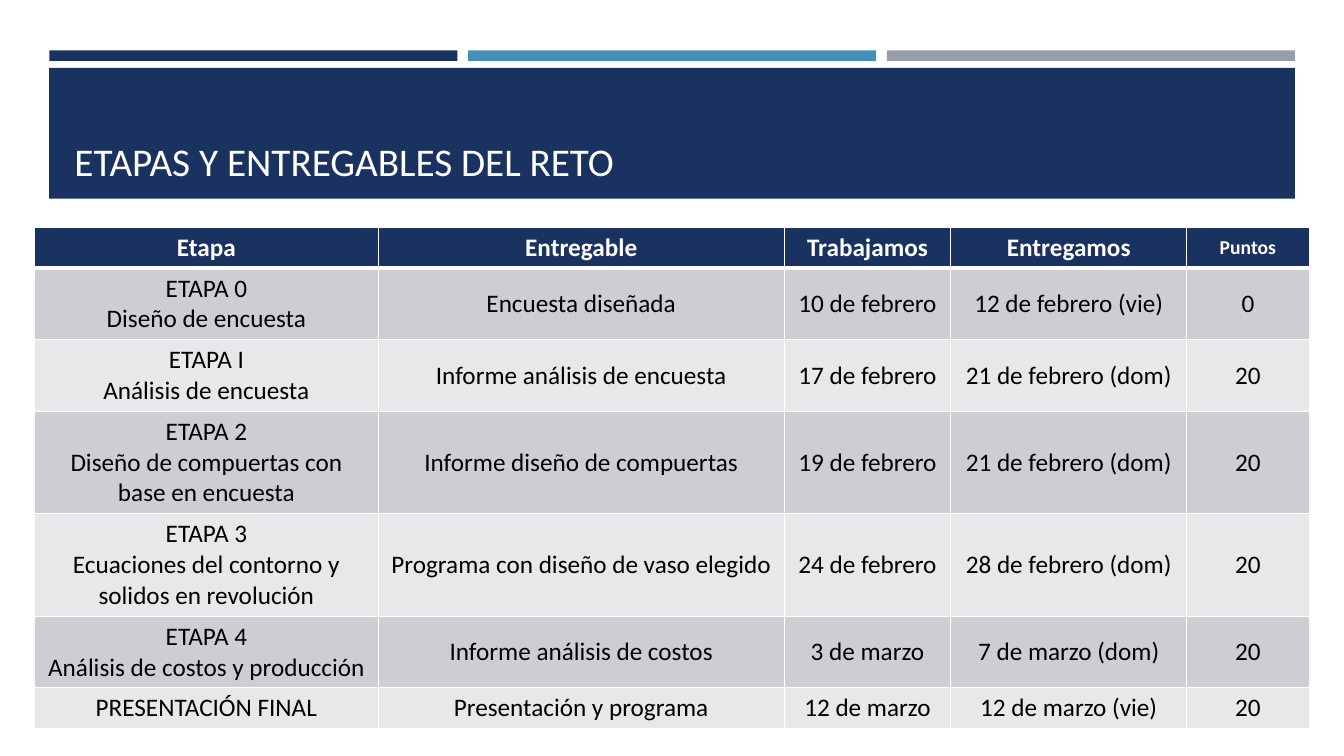
from pptx import Presentation
from pptx.dml.color import RGBColor
from pptx.enum.shapes import MSO_SHAPE
from pptx.enum.text import MSO_ANCHOR, MSO_AUTO_SIZE, PP_ALIGN
from pptx.oxml import parse_xml
from pptx.oxml.ns import nsdecls
from pptx.util import Pt

RECT = MSO_SHAPE.RECTANGLE
MIDDLE, BOTTOM = MSO_ANCHOR.MIDDLE, MSO_ANCHOR.BOTTOM
LEFT, CENTER = PP_ALIGN.LEFT, PP_ALIGN.CENTER

# Content: each stage has its line count, then its cells
TITLE = "ETAPAS Y ENTREGABLES DEL RETO"
HEADS = ["Etapa", "Entregable", "Trabajamos", "Entregamos", "Puntos"]
STAGES = [
    (2, ["ETAPA 0\nDiseño de encuesta", "Encuesta diseñada",
         "10 de febrero", "12 de febrero (vie)", "0"]),
    (2, ["ETAPA I\nAnálisis de encuesta", "Informe análisis de encuesta",
         "17 de febrero", "21 de febrero (dom)", "20"]),
    (3, ["ETAPA 2\nDiseño de compuertas con base en encuesta",
         "Informe diseño de compuertas",
         "19 de febrero", "21 de febrero (dom)", "20"]),
    (3, ["ETAPA 3\nEcuaciones del contorno y solidos en revolución",
         "Programa con diseño de vaso elegido",
         "24 de febrero", "28 de febrero (dom)", "20"]),
    (2, ["ETAPA 4\nAnálisis de costos y producción",
         "Informe análisis de costos",
         "3 de marzo", "7 de marzo (dom)", "20"]),
    (1, ["PRESENTACIÓN FINAL", "Presentación y programa",
         "12 de marzo", "12 de marzo (vie)", "20"]),
]
WIDTHS = [245.5, 290, 119, 168.5, 87.5]

THEME = {
    "font": "Calibri", "title": 28, "body": 18, "small": 14,
    "navy": "1A3260", "blue": "4590B8", "gray": "969FA7",
    "white": "FFFFFF", "black": "000000", "bands": ["CDCED2", "E8E8EA"],
}


def paint(fill, color):
    fill.solid()
    fill.fore_color.rgb = RGBColor.from_string(color)


def style(frame, size, color, bold, align):
    look = {"name": THEME["font"], "size": Pt(size), "bold": bold}
    for para in frame.paragraphs:
        para.alignment = align
        for run in para.runs:
            for key, value in look.items():
                setattr(run.font, key, value)
            run.font.color.rgb = RGBColor.from_string(color)


def bar(left, top, width, height, color):
    shape = slide.shapes.add_shape(RECT, Pt(left), Pt(top), Pt(width), Pt(height))
    shape.shadow.inherit = False
    paint(shape.fill, color)
    shape.line.fill.background()


def edge(cell, side, width):
    line = parse_xml(
        f'<a:{side} {nsdecls("a")} w="{Pt(width)}"><a:solidFill>'
        f'<a:srgbClr val="{THEME["white"]}"/></a:solidFill></a:{side}>')
    cell._tc.get_or_add_tcPr().append(line)


def fill_row(index, texts, color, ink, bold):
    for col, text in enumerate(texts):
        cell = table.cell(index, col)
        cell.text = text
        cell.vertical_anchor = MIDDLE
        small = index == 0 and col == len(texts) - 1
        style(cell.text_frame, THEME["small" if small else "body"], ink, bold, CENTER)
        for side in ("lnL", "lnR", "lnT", "lnB"):
            thick = (index, side) in ((0, "lnB"), (1, "lnT"))
            edge(cell, side, 3 if thick else 1)
        paint(cell.fill, color)


deck = Presentation()
deck.slide_width, deck.slide_height = Pt(960), Pt(540)
slide = deck.slides.add_slide(deck.slide_layouts[5])

# Three thin bars above the title band
LONG, GAP = 291.6, 7.5
for spot, name in enumerate(["navy", "blue", "gray"]):
    bar(35.2 + spot * (LONG + GAP), 36, LONG, 7.5, THEME[name])
bar(35, 48.5, 890, 93.5, THEME["navy"])

# Title, in front of its band
title = slide.shapes.title
box = {"left": 46, "top": 55.5, "width": 868.5, "height": 80}
for key, value in box.items():
    setattr(title, key, Pt(value))
frame = title.text_frame
frame.text = TITLE
frame.auto_size = MSO_AUTO_SIZE.NONE
frame.vertical_anchor = BOTTOM
style(frame, THEME["title"], THEME["white"], False, LEFT)
slide.shapes._spTree.append(title._element)

# Table: row height follows the number of text lines
PAD, LINE = 7.2, 22
heights = [28.5] + [PAD + LINE * lines for lines, _ in STAGES]
table = slide.shapes.add_table(
    len(heights), len(HEADS), Pt(24.7), Pt(162.2),
    Pt(sum(WIDTHS)), Pt(sum(heights))).table
for column, width in zip(table.columns, WIDTHS):
    column.width = Pt(width)
for row, height in zip(table.rows, heights):
    row.height = Pt(height)

fill_row(0, HEADS, THEME["navy"], THEME["white"], True)
for index, (_, texts) in enumerate(STAGES, 1):
    fill_row(index, texts, THEME["bands"][(index - 1) % 2], THEME["black"], False)

deck.save("out.pptx")
